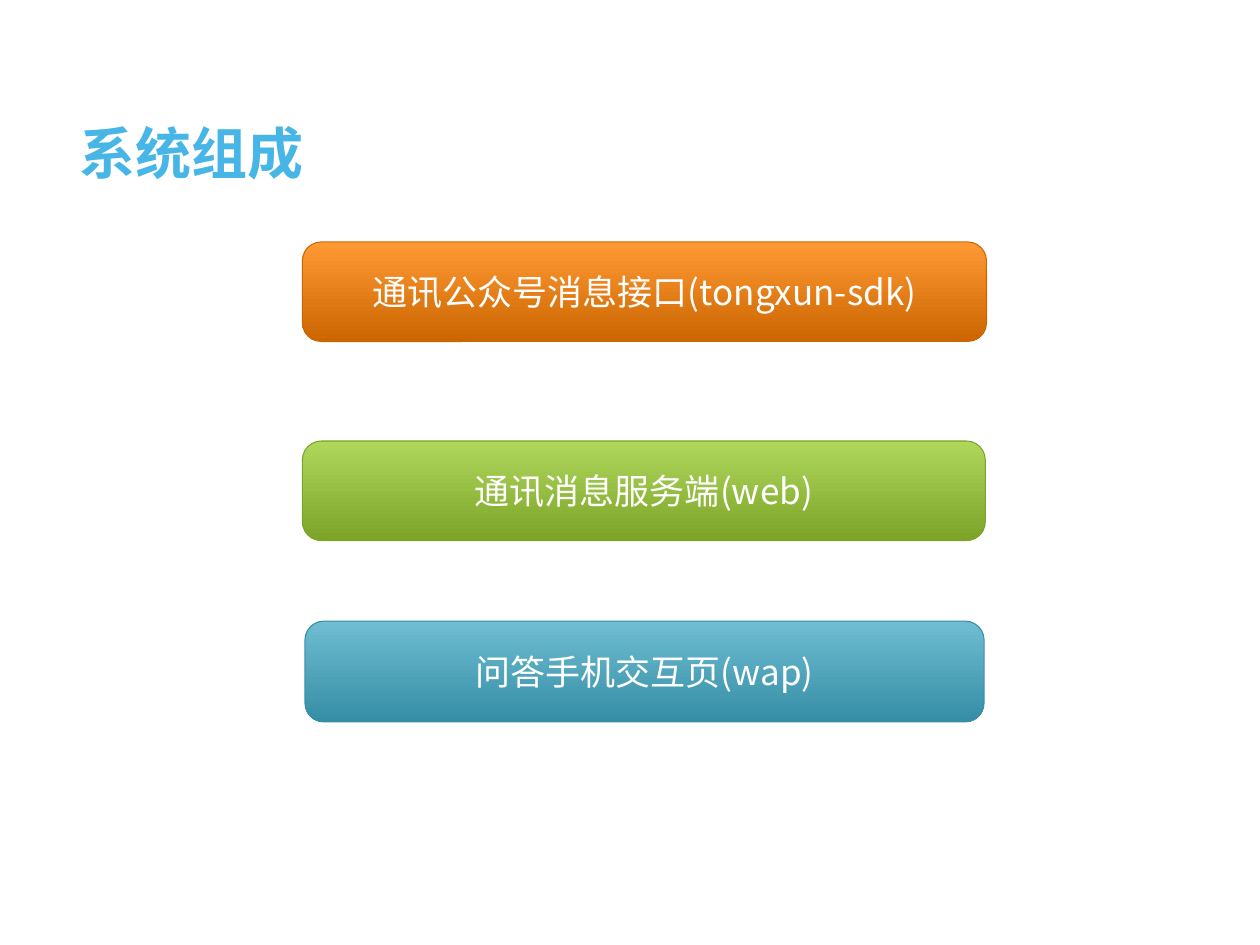
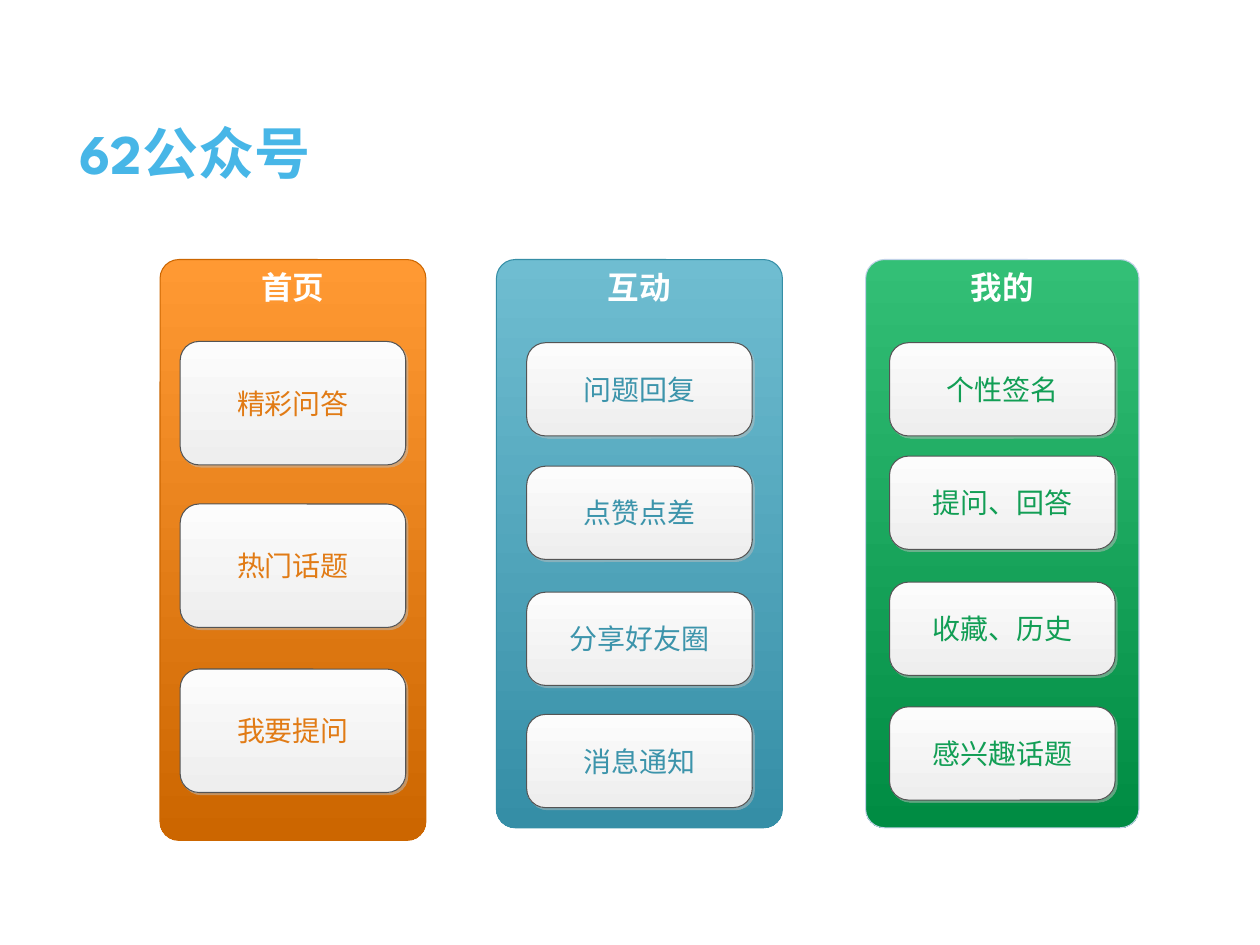
"""Build two slides: the system parts and the menu of a public account."""
from dataclasses import dataclass

from lxml import etree
from pptx import Presentation
from pptx.dml.color import RGBColor
from pptx.enum.shapes import MSO_SHAPE
from pptx.enum.text import MSO_ANCHOR, PP_ALIGN
from pptx.oxml.ns import qn
from pptx.presentation import Presentation as Deck
from pptx.shapes.autoshape import Shape
from pptx.slide import Slide
from pptx.text.text import TextFrame
from pptx.util import Inches, Pt

ROUNDED = MSO_SHAPE.ROUNDED_RECTANGLE
TOP, MIDDLE, BOTTOM = MSO_ANCHOR.TOP, MSO_ANCHOR.MIDDLE, MSO_ANCHOR.BOTTOM
LEFT, CENTER = PP_ALIGN.LEFT, PP_ALIGN.CENTER

WIDTH, HEIGHT = Inches(10), Inches(7.5)
COLUMN, ROW = WIDTH / 100, HEIGHT / 75
RADIUS = 1.5
TITLE_LAYOUT = 5
TITLE_FONT, BODY_FONT = "League Spartan", "Noto Sans CJK SC"
TITLE_COLOR, WHITE = "47B6E7", "FFFFFF"


@dataclass(frozen=True)
class Area:
    """A rectangle in grid columns and rows."""

    left: float
    top: float
    width: float
    height: float

    def lengths(self) -> tuple[int, int, int, int]:
        """Return left, top, width and height as slide lengths."""
        return (round(self.left * COLUMN), round(self.top * ROW),
                round(self.width * COLUMN), round(self.height * ROW))


@dataclass(frozen=True)
class Theme:
    """Gradient ends, outline and the text colour that goes with them."""

    start: str
    end: str
    line: str
    text: str


@dataclass(frozen=True)
class Label:
    """The look of a piece of text."""

    size: float
    color: str
    bold: bool = False
    font: str = BODY_FONT
    align: PP_ALIGN = CENTER
    anchor: MSO_ANCHOR = MIDDLE


@dataclass(frozen=True)
class Bar:
    """A wide bar that names one part of the system."""

    text: str
    area: Area
    theme: Theme


@dataclass(frozen=True)
class Menu:
    """A tall panel with a heading and a stack of cards."""

    heading: str
    area: Area
    theme: Theme
    card_height: float
    cards: dict[str, float]


ORANGE = Theme("FF9933", "CC6600", "CC6600", "E17B15")
LIME = Theme("AED75B", "7BA428", "7BA428", WHITE)
TEAL = Theme("6FBDD1", "358EA6", "358EA6", "3C94AB")
GREEN = Theme("33BF76", "008C43", "C1D2E8", "129E55")
PAPER = Theme("FCFCFC", "EEEEEE", "545454", WHITE)

TITLE_AREA = Area(5.3, 8.9, 89.8, 6.4)
TITLE_LABEL = Label(32, TITLE_COLOR, True, TITLE_FONT, LEFT, BOTTOM)
BAR_LABEL = Label(20, WHITE)
HEADING_LABEL = Label(18, WHITE, True, anchor=TOP)
CARD_SIZE = 16
CARD_WIDTH = 17.9

BARS = [
    Bar("通讯公众号消息接口(tongxun-sdk)", Area(24, 19.2, 54.3, 7.9), ORANGE),
    Bar("通讯消息服务端(web)", Area(24, 35, 54.2, 7.9), LIME),
    Bar("问答手机交互页(wap)", Area(24.2, 49.3, 53.9, 8), TEAL),
]
MENUS = [
    Menu("首页", Area(12.7, 20.6, 21.1, 46.1), ORANGE, 9.8,
         {"精彩问答": 27.1, "热门话题": 40, "我要提问": 53.1}),
    Menu("互动", Area(39.4, 20.6, 22.7, 45.1), TEAL, 7.4,
         {"问题回复": 27.2, "点赞点差": 37, "分享好友圈": 47, "消息通知": 56.7}),
    Menu("我的", Area(68.7, 20.6, 21.7, 45.1), GREEN, 7.4,
         {"个性签名": 27.2, "提问、回答": 36.2, "收藏、历史": 46.2,
          "感兴趣话题": 56.1}),
]


def color(value: str) -> RGBColor:
    """Turn a hex string into a colour."""
    return RGBColor.from_string(value)


def write(frame: TextFrame, text: str, label: Label) -> None:
    """Put one formatted paragraph into a text frame."""
    frame.text = text
    frame.word_wrap = True
    frame.vertical_anchor = label.anchor
    paragraph = frame.paragraphs[0]
    paragraph.alignment = label.align
    for span in paragraph.runs:
        span.font.size = Pt(label.size)
        span.font.bold = label.bold
        span.font.name = label.font
        span.font.color.rgb = color(label.color)
        east_asian = etree.SubElement(span.font._element, qn("a:ea"))
        east_asian.set("typeface", BODY_FONT)


def add_page(deck: Deck, title: str) -> Slide:
    """Add a slide with the shared title style."""
    page = deck.slides.add_slide(deck.slide_layouts[TITLE_LAYOUT])
    box = page.shapes.title
    box.left, box.top, box.width, box.height = TITLE_AREA.lengths()
    write(box.text_frame, title, TITLE_LABEL)
    box.text_frame.paragraphs[0].line_spacing = 0.9
    return page


def add_box(page: Slide, area: Area, theme: Theme, text: str,
            label: Label) -> Shape:
    """Add a rounded box with a vertical gradient and text."""
    box = page.shapes.add_shape(ROUNDED, *area.lengths())
    box.adjustments[0] = RADIUS / min(area.width, area.height)
    box.shadow.inherit = False
    box.fill.gradient()
    box.fill.gradient_angle = 270
    for stop, value in zip(box.fill.gradient_stops, (theme.start, theme.end)):
        stop.color.rgb = color(value)
    box.line.color.rgb = color(theme.line)
    box.line.width = Pt(0.6)
    frame = box.text_frame
    frame.margin_left = frame.margin_right = Inches(0.04)
    frame.margin_top = frame.margin_bottom = Inches(0.02)
    write(frame, text, label)
    return box


def add_shadow(box: Shape) -> None:
    """Give a box a sharp, half transparent shadow to the lower right."""
    effects = box._element.spPr.find(qn("a:effectLst"))
    shadow = etree.SubElement(effects, qn("a:outerShdw"), blurRad="0",
                              dist=str(Pt(1.7)), dir=str(45 * 60000),
                              algn="ctr", rotWithShape="0")
    tint = etree.SubElement(shadow, qn("a:srgbClr"), val="BEBEBE")
    etree.SubElement(tint, qn("a:alpha"), val="50000")


def add_menu(page: Slide, menu: Menu) -> None:
    """Draw a panel and the cards centred across it."""
    add_box(page, menu.area, menu.theme, menu.heading, HEADING_LABEL)
    left = menu.area.left + (menu.area.width - CARD_WIDTH) / 2
    label = Label(CARD_SIZE, menu.theme.text)
    for text, top in menu.cards.items():
        area = Area(left, top, CARD_WIDTH, menu.card_height)
        add_shadow(add_box(page, area, PAPER, text, label))


def main() -> None:
    """Build and save the deck."""
    deck = Presentation()
    deck.slide_width, deck.slide_height = WIDTH, HEIGHT
    parts_page = add_page(deck, "系统组成")
    for bar in BARS:
        add_box(parts_page, bar.area, bar.theme, bar.text, BAR_LABEL)
    menu_page = add_page(deck, "62公众号")
    for menu in MENUS:
        add_menu(menu_page, menu)
    deck.save("out.pptx")


if __name__ == "__main__":
    main()
